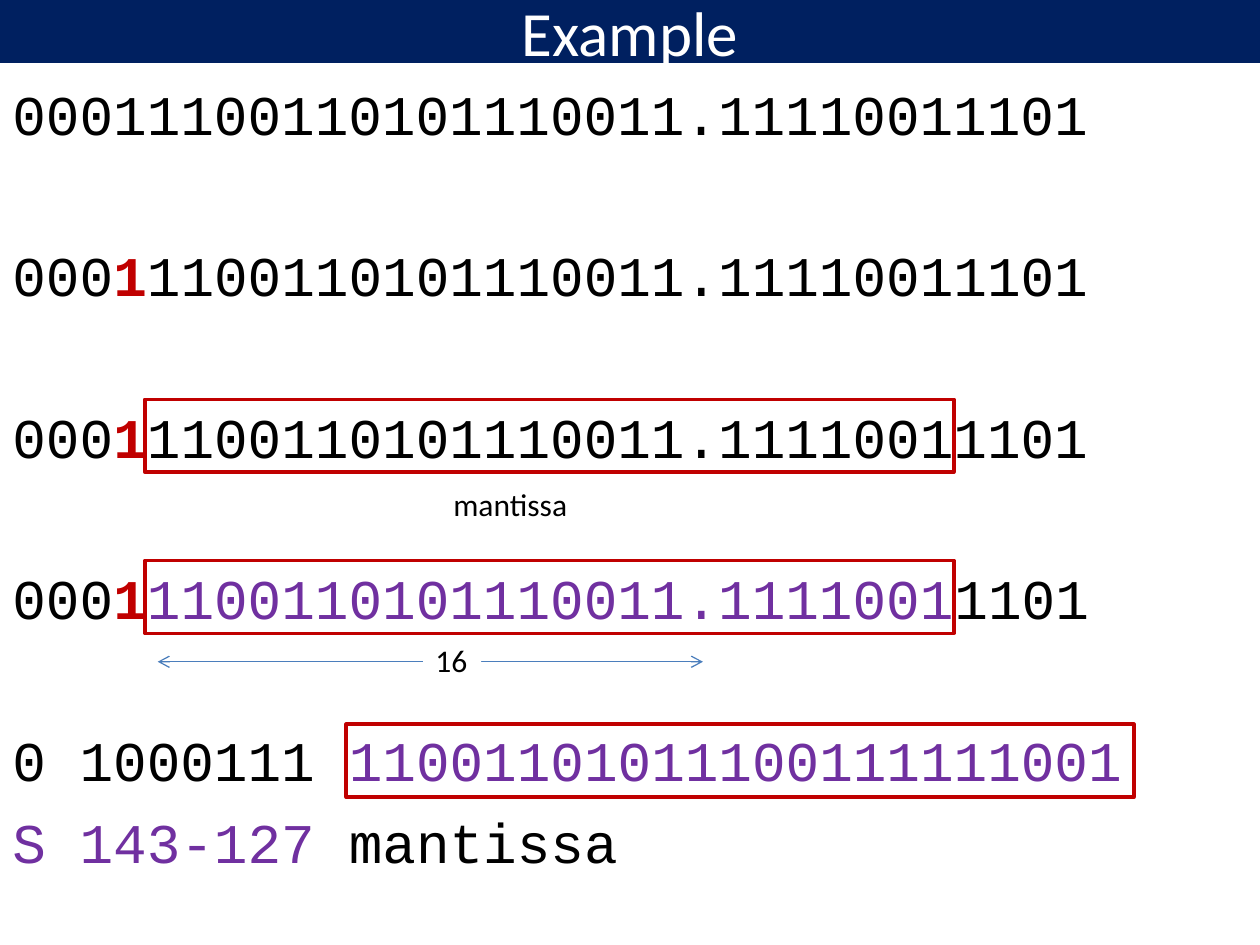
from lxml.etree import SubElement
from pptx import Presentation
from pptx.dml.color import RGBColor
from pptx.enum.shapes import MSO_CONNECTOR, MSO_SHAPE
from pptx.enum.text import MSO_ANCHOR, MSO_AUTO_SIZE, PP_ALIGN
from pptx.oxml.ns import qn
from pptx.util import Cm, Pt

NAVY = RGBColor(0x00, 0x20, 0x60)
WHITE = RGBColor(0xFF, 0xFF, 0xFF)
BLACK = RGBColor(0x00, 0x00, 0x00)
RED = RGBColor(0xC0, 0x00, 0x00)
PURPLE = RGBColor(0x70, 0x30, 0xA0)
BLUE = RGBColor(0x4B, 0x7E, 0xBC)

FIRST, STEP, NEXT = 6.4, 53.9, 8.6  # points of space above a line
LEADING_ONE = [("000", BLACK), ("1", RED), ("1100110101110011.11110011101", BLACK)]
LINES = [
    (FIRST, [("00011100110101110011.11110011101", BLACK)]),
    (STEP, LEADING_ONE),
    (STEP, LEADING_ONE),
    (STEP, LEADING_ONE[:2] + [("1100110101110011.1111001", PURPLE), ("1101", BLACK)]),
    (STEP, [("0 1000111 ", BLACK), ("11001101011100111111001", PURPLE)]),
    (NEXT, [("S 143-127", PURPLE), (" mantissa", BLACK)]),
]

FRAME_HEIGHT = 1.47
FRAMES = [(2.92, 8.05, 16.31), (2.92, 11.3, 16.31), (6.98, 14.6, 15.88)]  # left, top, width
MANTISSA = ("mantissa", (8.89, 9.65, 2.82, 1.02))
SHIFT = ("16", (8.53, 12.8, 1.17, 1.02))
ARROW = (3.18, 13.34, 14.17, 13.34)


def cm(values):
    return [Cm(value) for value in values]


def add_run(paragraph, text, **formats):
    run = paragraph.add_run()
    run.text = text
    color = formats.pop("color")
    for key, value in formats.items():
        setattr(run.font, key, value)
    run.font.color.rgb = color


def add_label(slide, text, box):
    label = slide.shapes.add_textbox(*cm(box))
    label.text_frame.word_wrap = False
    add_run(label.text_frame.paragraphs[0], text, name="Calibri", size=Pt(18), color=BLACK)
    return label


def add_title(slide):
    title = slide.shapes.title
    for key, value in zip(("left", "top", "width", "height"), cm((0, 0, 25.4, 1.27))):
        setattr(title, key, value)
    title.fill.solid()
    title.fill.fore_color.rgb = NAVY
    frame = title.text_frame
    frame.auto_size = MSO_AUTO_SIZE.NONE
    frame.vertical_anchor = MSO_ANCHOR.MIDDLE
    heading = frame.paragraphs[0]
    heading.alignment = PP_ALIGN.CENTER
    add_run(heading, "Example", name="Calibri", size=Pt(36), color=WHITE)


def add_lines(slide):
    frame = slide.shapes.add_textbox(*cm((0, 1.47, 25.4, 17.58))).text_frame
    frame.word_wrap = True
    for index, (space, parts) in enumerate(LINES):
        line = frame.add_paragraph() if index else frame.paragraphs[0]
        line.space_before = Pt(space)
        for text, color in parts:
            add_run(line, text, name="Courier New", size=Pt(32), bold=color == RED, color=color)


def add_frame(slide, left, top, width):
    frame = slide.shapes.add_shape(MSO_SHAPE.RECTANGLE, *cm((left, top, width, FRAME_HEIGHT)))
    frame.shadow.inherit = False
    frame.fill.background()
    frame.line.color.rgb = RED
    frame.line.width = Pt(2)


def add_double_arrow(slide):
    arrow = slide.shapes.add_connector(MSO_CONNECTOR.STRAIGHT, *cm(ARROW))
    arrow.line.color.rgb = BLUE
    arrow.line.width = Pt(0.75)
    for end in ("a:headEnd", "a:tailEnd"):
        SubElement(arrow.line._get_or_add_ln(), qn(end), type="arrow")
    SubElement(arrow._element.spPr, qn("a:effectLst"))


def main():
    deck = Presentation()
    deck.slide_width, deck.slide_height = cm((25.4, 19.05))
    slide = deck.slides.add_slide(deck.slide_layouts[5])
    add_title(slide)
    add_lines(slide)
    add_label(slide, *MANTISSA)
    add_double_arrow(slide)
    shift = add_label(slide, *SHIFT)
    shift.fill.solid()
    shift.fill.fore_color.rgb = WHITE
    for place in FRAMES:
        add_frame(slide, *place)
    deck.save("out.pptx")


if __name__ == "__main__":
    main()
